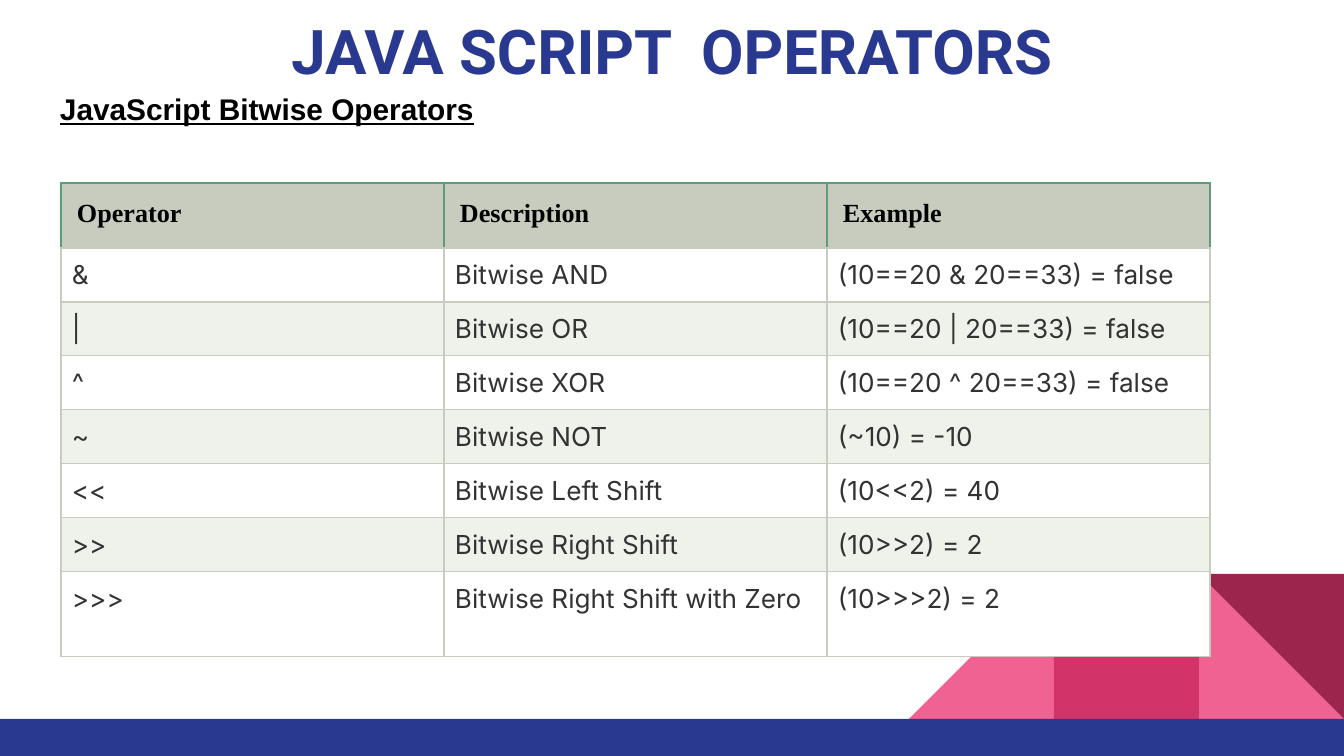
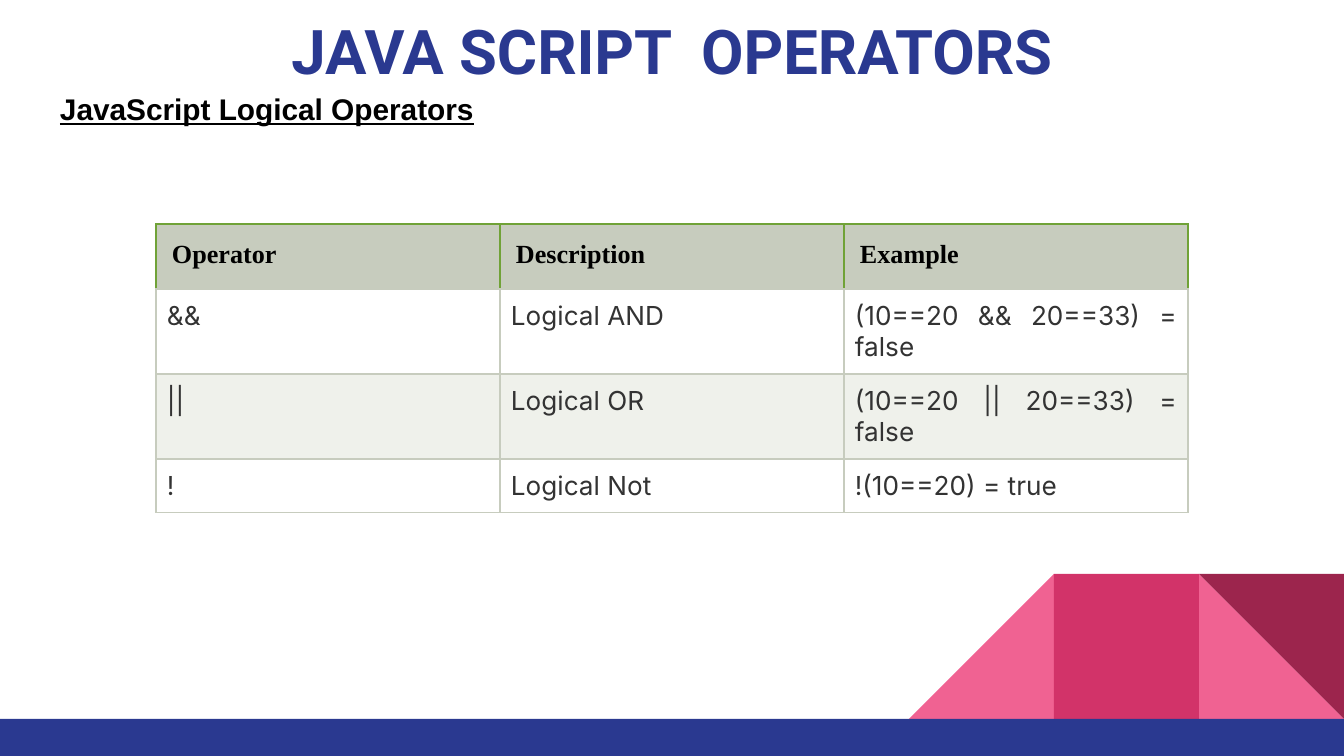
from pptx import Presentation
from pptx.dml.color import RGBColor
from pptx.enum.shapes import MSO_SHAPE
from pptx.enum.text import MSO_ANCHOR, MSO_AUTO_SIZE, PP_ALIGN
from pptx.oxml.ns import qn
from pptx.util import Pt
from lxml import etree

RECTANGLE, TRIANGLE = MSO_SHAPE.RECTANGLE, MSO_SHAPE.RIGHT_TRIANGLE
TOP = MSO_ANCHOR.TOP
FIXED, GROW = MSO_AUTO_SIZE.NONE, MSO_AUTO_SIZE.SHAPE_TO_FIT_TEXT
CENTER, LEFT, JUSTIFY = PP_ALIGN.CENTER, PP_ALIGN.LEFT, PP_ALIGN.JUSTIFY

WIDTH, HEIGHT = 1344, 756
PX = 9144000 / WIDTH
BLUE, PINK, RED, WINE = "2A3990", "F06292", "D23369", "9C254D"
BLACK, GRAY, WHITE = "000000", "333333", "FFFFFF"
HEADER_FILL, STRIPE = "C7CCBE", "EFF1EB"
TILE = 145
BAND_TOP = 719
HEADINGS = ("Operator", "Description", "Example")


def px(*lengths):
    return [round(length * PX) for length in lengths]


def write(frame, text, size, font, color, align, inset, bold=True):
    frame.text = text
    frame.word_wrap = True
    frame.margin_left = frame.margin_right = px(inset)[0]
    frame.margin_top = frame.margin_bottom = px(inset)[0]
    para = frame.paragraphs[0]
    para.alignment = align
    span = para.runs[0]
    span.font.size = Pt(size)
    span.font.name = font
    span.font.bold = bold
    span.font.color.rgb = RGBColor.from_string(color)
    return span


deck = Presentation()
deck.slide_width, deck.slide_height = px(WIDTH, HEIGHT)
layout = deck.slide_layouts[5]
pages = [deck.slides.add_slide(layout) for _ in range(2)]

# Corner tiles and bottom band, shared through the layout
for holder in list(layout.placeholders)[1:]:
    holder.element.getparent().remove(holder.element)
tile_top = BAND_TOP - TILE
decorations = [
    (TRIANGLE, WIDTH - TILE, tile_top, TILE, TILE, PINK, 0, False),
    (TRIANGLE, WIDTH - 3 * TILE, tile_top, TILE, TILE, PINK, 0, True),
    (RECTANGLE, WIDTH - 2 * TILE, tile_top, TILE, TILE, RED, 0, False),
    (TRIANGLE, WIDTH - TILE, tile_top, TILE, TILE, WINE, 180, False),
    (RECTANGLE, 0, BAND_TOP, WIDTH, HEIGHT - BAND_TOP, BLUE, 0, False),
]
for number, (kind, left, top, width, height, color, turn, flipped) in enumerate(decorations):
    shape = pages[0].shapes.add_shape(kind, *px(left, top, width, height))
    shape.shadow.inherit = False
    shape.fill.solid()
    shape.fill.fore_color.rgb = RGBColor.from_string(color)
    shape.line.fill.background()
    shape.rotation = turn
    if flipped:
        shape.element.spPr.find(qn("a:xfrm")).set("flipH", "1")
    shape.element.nvSpPr.cNvPr.set("id", str(20 + number))
    layout.shapes.element.append(shape.element)

# Subtitle, table left and top, column width, row heights, header line, rows
contents = [
    ("JavaScript Bitwise Operators", 61, 183, 383, [65] + [54] * 6 + [85], "609C7A", [
        ("&", "Bitwise AND", "(10==20 & 20==33) = false"),
        ("|", "Bitwise OR", "(10==20 | 20==33) = false"),
        ("^", "Bitwise XOR", "(10==20 ^ 20==33) = false"),
        ("~", "Bitwise NOT", "(~10) = -10"),
        ("<<", "Bitwise Left Shift", "(10<<2) = 40"),
        (">>", "Bitwise Right Shift", "(10>>2) = 2"),
        (">>>", "Bitwise Right Shift with Zero", "(10>>>2) = 2"),
    ]),
    ("JavaScript Logical Operators", 156, 224, 344, [65, 85, 85, 54], "70A237", [
        ("&&", "Logical AND", "(10==20 && 20==33) = false"),
        ("||", "Logical OR", "(10==20 || 20==33) = false"),
        ("!", "Logical Not", "!(10==20) = true"),
    ]),
]

for page, (subtitle, left, top, column_width, heights, header_line, rows) in zip(pages, contents):
    # Title and subtitle
    title = page.shapes.title
    title.left, title.top, title.width, title.height = px(0, 0, WIDTH, 89)
    write(title.text_frame, "JAVA SCRIPT  OPERATORS", 33, "Roboto", BLUE, CENTER, 13)
    title.text_frame.vertical_anchor = TOP
    title.text_frame.auto_size = FIXED

    box = page.shapes.add_textbox(*px(47, 78, 1250, 63))
    span = write(box.text_frame, subtitle, 16, "Arial", BLACK, LEFT, 13)
    span.font.underline = True
    box.text_frame.auto_size = GROW

    # Operator table
    frame = page.shapes.add_table(
        len(heights), len(HEADINGS),
        *px(left, top, column_width * len(HEADINGS), sum(heights)))
    table = frame.table
    table.first_row = table.horz_banding = False
    for column in table.columns:
        column.width = px(column_width)[0]
    for row, height in zip(table.rows, heights):
        row.height = px(height)[0]

    for row_index, texts in enumerate([HEADINGS] + rows):
        is_header = row_index == 0
        for column_index, text in enumerate(texts):
            cell = table.cell(row_index, column_index)
            if is_header:
                write(cell.text_frame, text, 14, "Times New Roman", BLACK, LEFT, 0)
                fill = HEADER_FILL
            else:
                write(cell.text_frame, text, 14, "Inter", GRAY, JUSTIFY, 0, bold=False)
                fill = WHITE if row_index % 2 else STRIPE
            inset = px(16 if is_header else 11)[0]
            cell.margin_left = cell.margin_right = inset
            cell.margin_top = cell.margin_bottom = inset
            cell.vertical_anchor = TOP

            # Borders come before the fill in the cell properties
            properties = cell._tc.get_or_add_tcPr()
            for side in ("lnL", "lnR", "lnT", "lnB"):
                color = header_line if is_header and side != "lnB" else HEADER_FILL
                border = etree.SubElement(properties, qn("a:" + side), w=str(Pt(0.75)))
                solid = etree.SubElement(border, qn("a:solidFill"))
                etree.SubElement(solid, qn("a:srgbClr"), val=color)
            cell.fill.solid()
            cell.fill.fore_color.rgb = RGBColor.from_string(fill)

deck.save("out.pptx")
